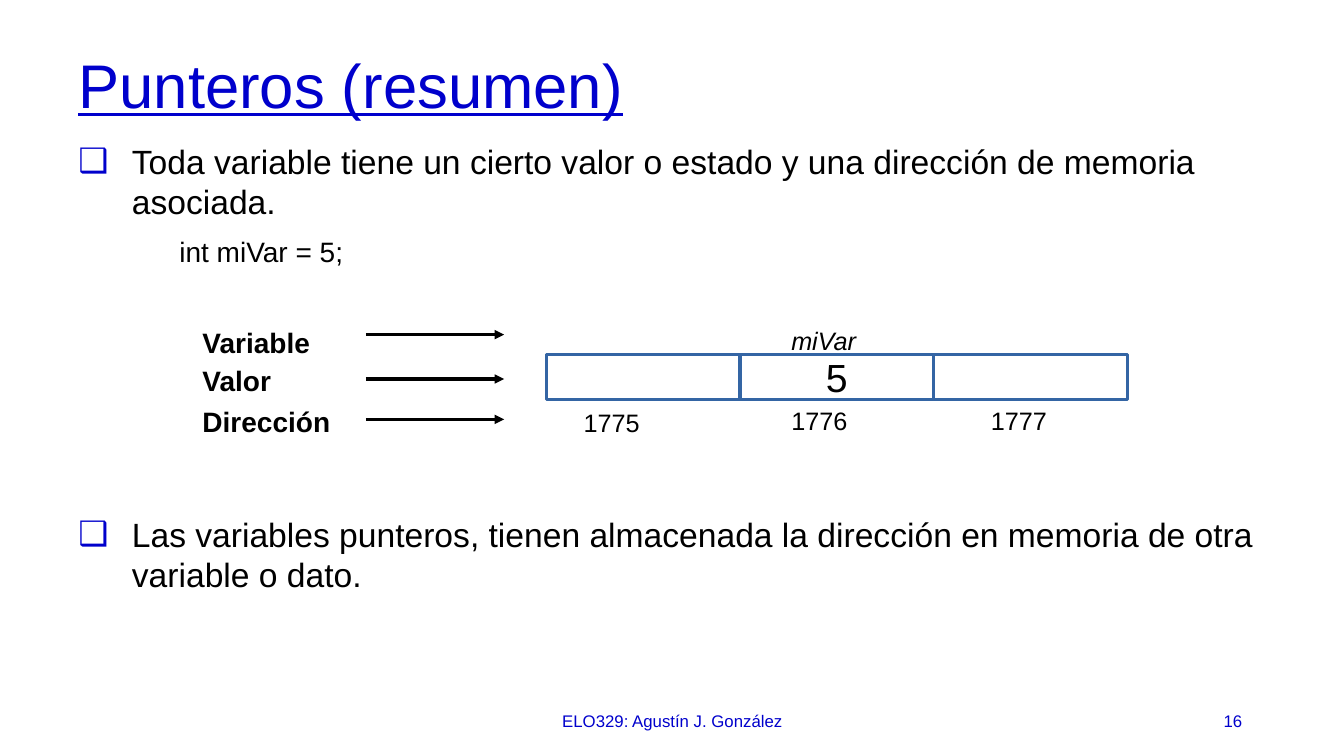
from dataclasses import dataclass

from lxml.etree import SubElement
from pptx import Presentation
from pptx.dml.color import RGBColor
from pptx.enum.shapes import MSO_CONNECTOR as CONN, MSO_SHAPE as SHAPE
from pptx.enum.text import MSO_ANCHOR as ANCHOR, PP_ALIGN as ALIGN
from pptx.oxml.ns import qn
from pptx.util import Inches, Pt

COLORS = {"blue": "0000CC", "black": "000000", "cell": "3465A4"}
FONT = "Arial"


@dataclass
class Row:
    label: str
    top: float
    width: float
    height: float
    arrow_y: float


@dataclass
class Cell:
    value: str
    address: str
    address_left: float
    address_top: float


ROWS = [
    Row("Variable", 3.18, 1.64, 0.37, 3.32),
    Row("Valor", 3.56, 1.64, 0.37, 3.76),
    Row("Dirección", 3.96, 1.78, 0.61, 4.16),
]
CELLS = [
    Cell("", "1775", 5.69, 3.99),
    Cell("5", "1776", 7.75, 3.97),
    Cell("", "1777", 9.73, 3.97),
]
CELL_LEFT, CELL_TOP, CELL_W, CELL_H = 5.42, 3.52, 1.92, 0.44


def color(name: str) -> RGBColor:
    return RGBColor.from_string(COLORS[name])


def write(p, text: str, *, size: float, ink: str = "black", bold: bool = False,
          italic: bool = False, underline: bool = False, align=ALIGN.LEFT) -> None:
    p.alignment = align
    r = p.add_run()
    r.text = text
    f = r.font
    f.name, f.size, f.color.rgb = FONT, Pt(size), color(ink)
    f.bold, f.italic, f.underline = bold, italic, underline


def add_text(s, text: str, left: float, top: float, width: float, height: float,
             anchor=ANCHOR.TOP, **fmt):
    box = s.shapes.add_textbox(*map(Inches, (left, top, width, height)))
    tf = box.text_frame
    tf.word_wrap = True
    tf.vertical_anchor = anchor
    write(tf.paragraphs[0], text, **fmt)
    return tf


def add_label(s, text: str, left: float, top: float, width: float, height: float,
              **fmt) -> None:
    x1, y1, x2, y2 = map(Inches, (left, top, left + width, top + height))
    outline = s.shapes.build_freeform(x1, y1)
    outline.add_line_segments([(x2, y1), (x2, y2), (x1, y2)], close=True)
    sp = outline.convert_to_shape()
    sp.shadow.inherit = False
    sp.fill.background()
    sp.line.fill.background()
    tf = sp.text_frame
    tf.word_wrap = True
    tf.vertical_anchor = ANCHOR.TOP
    write(tf.paragraphs[0], text, **fmt)


def add_bullet(s, text: str, top: float, height: float):
    tf = add_text(s, text, 0.68, top, 12.08, height, size=24)
    p = tf.paragraphs[0]
    p.space_before, p.space_after = Pt(6), Pt(4)
    pPr = p._p.get_or_add_pPr()
    pPr.set("marL", str(Inches(0.53)))
    pPr.set("indent", str(Inches(-0.53)))
    clr = SubElement(pPr, qn("a:buClr"))
    SubElement(clr, qn("a:srgbClr"), val=COLORS["blue"])
    SubElement(pPr, qn("a:buFont"), typeface=FONT)
    SubElement(pPr, qn("a:buChar"), char="❑")
    return tf


def add_arrow(s, x1: float, x2: float, y: float) -> None:
    arrow = s.shapes.add_connector(CONN.STRAIGHT, *map(Inches, (x1, y, x2, y)))
    arrow.line.color.rgb = color("black")
    arrow.line.width = Pt(2.25)
    SubElement(arrow.line._get_or_add_ln(), qn("a:tailEnd"), type="triangle")
    SubElement(arrow._element.spPr, qn("a:effectLst"))


def add_cell(s, index: int, cell: Cell) -> None:
    left = CELL_LEFT + index * CELL_W
    sp = s.shapes.add_shape(SHAPE.RECTANGLE,
                            *map(Inches, (left, CELL_TOP, CELL_W, CELL_H)))
    sp.shadow.inherit = False
    sp.fill.background()
    sp.line.color.rgb = color("cell")
    sp.line.width = Pt(2.25)
    if cell.value:
        tf = sp.text_frame
        tf.word_wrap = False
        tf.vertical_anchor = ANCHOR.MIDDLE
        write(tf.paragraphs[0], cell.value, size=28, align=ALIGN.CENTER)
    add_label(s, cell.address, cell.address_left, cell.address_top, 0.92, 0.33, size=18)


def main() -> None:
    prs = Presentation()
    prs.slide_width, prs.slide_height = Inches(13.33), Inches(7.5)
    s = prs.slides.add_slide(prs.slide_layouts[6])

    # Title
    tf = add_text(s, "Punteros (resumen)", 0.68, 0.4, 12.08, 0.95, ANCHOR.MIDDLE,
                  size=44, ink="blue", underline=True)
    tf.paragraphs[0].line_spacing = 0.9

    # Body text
    tf = add_bullet(s, "Toda variable tiene un cierto valor o estado y una dirección "
                       "de memoria asociada.", 1.35, 2.75)
    p = tf.add_paragraph()
    p.level = 1
    p.space_before = Pt(5)
    write(p, "int miVar = 5;", size=20)
    pPr = p._p.get_or_add_pPr()
    pPr.set("marL", str(Inches(1)))
    pPr.set("indent", "0")
    add_bullet(s, "Las variables punteros, tienen almacenada la dirección en memoria "
                  "de otra variable o dato.", 5.05, 1.87)

    # Memory diagram
    for row in ROWS:
        add_label(s, row.label, 1.91, row.top, row.width, row.height, size=20, bold=True)
        add_arrow(s, 3.63, 5, row.arrow_y)
    for i, cell in enumerate(CELLS):
        add_cell(s, i, cell)
    add_label(s, "miVar", 7.75, 3.18, 1.03, 0.33, size=18, italic=True)

    # Footer
    add_text(s, "ELO329: Agustín J. González", 4.42, 6.95, 4.5, 0.4, ANCHOR.MIDDLE,
             size=12, ink="blue", align=ALIGN.CENTER)
    add_text(s, "16", 9.42, 6.95, 3, 0.4, ANCHOR.MIDDLE,
             size=12, ink="blue", align=ALIGN.RIGHT)

    prs.save("out.pptx")


if __name__ == "__main__":
    main()
